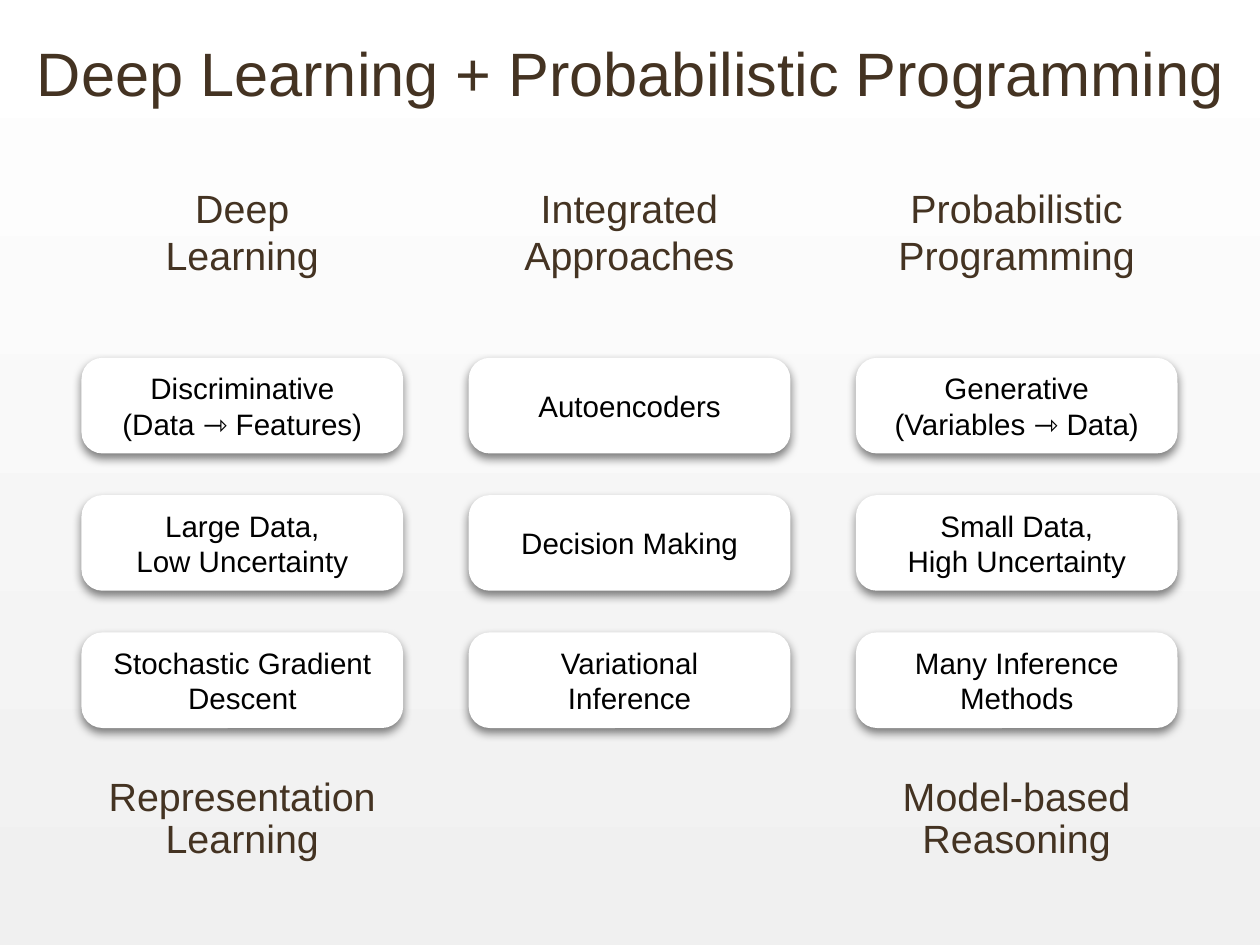
"""Build a slide setting deep learning beside probabilistic programming."""
import pptx
import pptx.dml.color
import pptx.enum.shapes
import pptx.enum.text
import pptx.oxml
import pptx.util
from pptx.util import Inches

BROWN, BLACK, WHITE, PALE = "443322", "000000", "FFFFFF", "F0F0F0"
SHADOW = (
    '<a:outerShdw xmlns:a="http://schemas.openxmlformats.org/drawingml/2006/main"'
    ' blurRad="101600" dist="50800" dir="5400000" rotWithShape="0">'
    '<a:srgbClr val="000000"><a:alpha val="50000"/></a:srgbClr></a:outerShdw>'
)


def rgb(value):
    return pptx.dml.color.RGBColor.from_string(value)


def write(frame, lines, size, color, spacing=None):
    frame.word_wrap = True
    frame.auto_size = pptx.enum.text.MSO_AUTO_SIZE.NONE
    frame.vertical_anchor = pptx.enum.text.MSO_ANCHOR.MIDDLE
    frame.margin_left = frame.margin_right = Inches(0.06)
    frame.margin_top = frame.margin_bottom = Inches(0.06)
    for index, line in enumerate(lines):
        paragraph = frame.add_paragraph() if index else frame.paragraphs[0]
        paragraph.alignment = pptx.enum.text.PP_ALIGN.CENTER
        paragraph.line_spacing = spacing
        run = paragraph.add_run()
        run.text = line
        run.font.name = "Arial"
        run.font.size = pptx.util.Pt(size)
        run.font.color.rgb = rgb(color)


deck = pptx.Presentation()
deck.slide_width, deck.slide_height = Inches(14.22), Inches(10.67)
slide = deck.slides.add_slide(deck.slide_layouts[5])

backdrop = slide.background.fill
backdrop.gradient()
backdrop.gradient_angle = 270
for stop, position, shade in zip(backdrop.gradient_stops, (0, 1), (WHITE, PALE)):
    stop.position = position
    stop.color.rgb = rgb(shade)

title = slide.shapes.title
title.left, title.top = Inches(0.18), Inches(0)
title.width, title.height = Inches(13.87), Inches(1.63)
write(title.text_frame, ["Deep Learning + Probabilistic Programming"], 49.8, BROWN)

approaches = [
    (
        ["Deep", "Learning"],
        [
            ["Discriminative", "(Data ⇾ Features)"],
            ["Large Data,", "Low Uncertainty"],
            ["Stochastic Gradient Descent"],
        ],
        ["Representation", "Learning"],
    ),
    (
        ["Integrated", "Approaches"],
        [["Autoencoders"], ["Decision Making"], ["Variational", "Inference"]],
        None,
    ),
    (
        ["Probabilistic", "Programming"],
        [
            ["Generative", "(Variables ⇾ Data)"],
            ["Small Data,", "High Uncertainty"],
            ["Many Inference", "Methods"],
        ],
        ["Model-based", "Reasoning"],
    ),
]

column_width, column_pitch = Inches(3.63), Inches(4.37)
card_height, card_pitch = Inches(1.08), Inches(1.55)

for column, (heading, traits, summary) in enumerate(approaches):
    left = Inches(0.92) + column * column_pitch

    heading_box = slide.shapes.add_textbox(left, Inches(2.03), column_width, Inches(1.17))
    write(heading_box.text_frame, heading, 32, BROWN)

    for row, trait in enumerate(traits):
        card = slide.shapes.add_shape(
            pptx.enum.shapes.MSO_SHAPE.ROUNDED_RECTANGLE,
            left, Inches(4.04) + row * card_pitch, column_width, card_height,
        )
        card.adjustments[0] = 0.22
        card.fill.solid()
        card.fill.fore_color.rgb = rgb(WHITE)
        card.line.fill.background()
        card.shadow.inherit = False
        card.element.spPr.find(pptx.oxml.ns.qn("a:effectLst")).append(
            pptx.oxml.parse_xml(SHADOW)
        )
        write(card.text_frame, trait, 24, BLACK)

    if summary:
        summary_box = slide.shapes.add_textbox(left, Inches(8.7), column_width, Inches(1.11))
        write(summary_box.text_frame, summary, 32, BROWN, 0.9)

deck.save("out.pptx")
